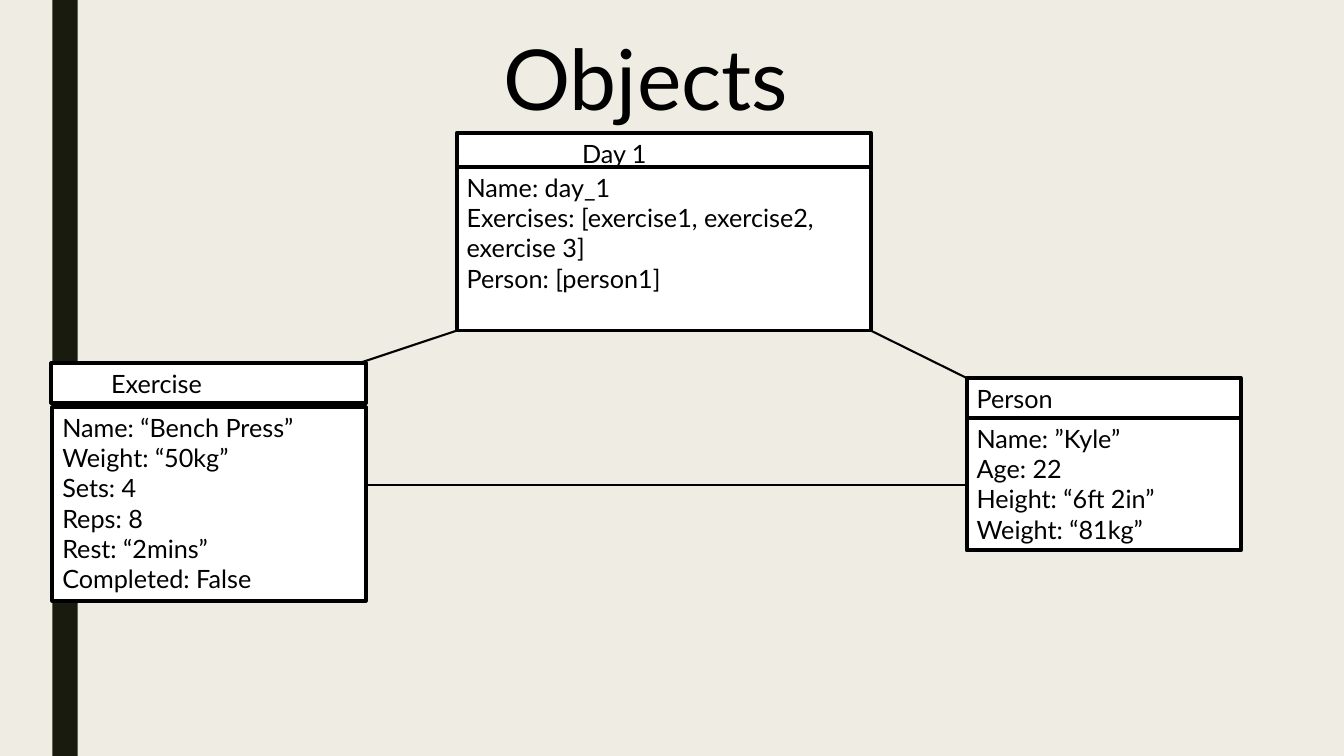
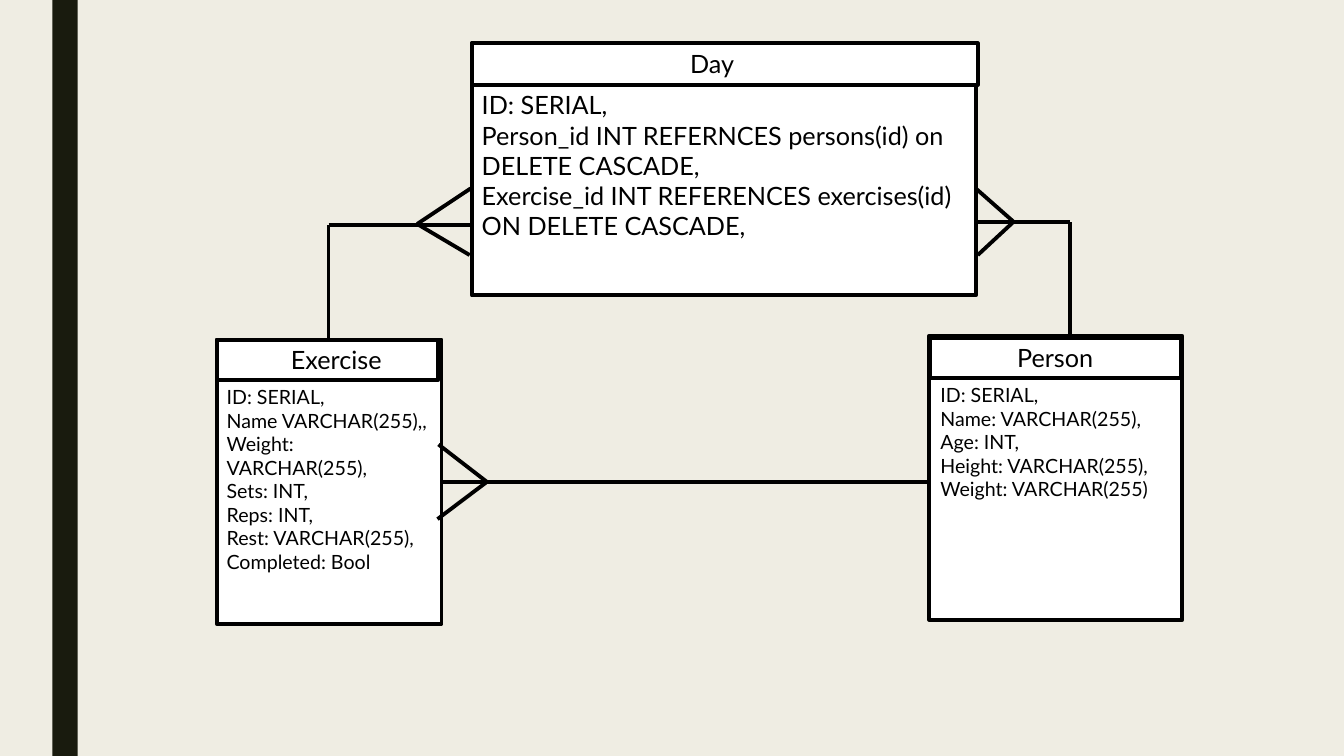
import itertools

import lxml.etree
import pptx
import pptx.dml.color
import pptx.enum.shapes
import pptx.enum.text
import pptx.oxml.ns
import pptx.util

Pt = pptx.util.Pt
COLOURS = {"ground": "EFEDE3", "band": "191B0E", "paper": "FFFFFF", "ink": "000000"}
FONT = "Lato"
THICK, THIN = 2.75, 1.5
HEADER = 28.8


def colour(name):
    """Return the named colour of the palette."""
    return pptx.dml.color.RGBColor.from_string(COLOURS[name])


def write(frame, text, size=18, inset=7.2):
    """Write each line of text as a left-aligned paragraph in a frame."""
    frame.word_wrap = True
    frame.auto_size = pptx.enum.text.MSO_AUTO_SIZE.NONE
    frame.vertical_anchor = pptx.enum.text.MSO_ANCHOR.TOP
    frame.margin_left, frame.margin_right = Pt(inset), Pt(7.2)
    frame.margin_top = frame.margin_bottom = Pt(3.6)
    for number, line in enumerate(text.split("\n")):
        para = frame.add_paragraph() if number else frame.paragraphs[0]
        para.alignment = pptx.enum.text.PP_ALIGN.LEFT
        span = para.add_run()
        span.text = line
        span.font.name, span.font.size = FONT, Pt(size)
        span.font.color.rgb = colour("ink")


class Diagram:
    """Holds the deck, its shared style and the page being drawn."""

    def __init__(self):
        """Start a wide deck."""
        self.deck = pptx.Presentation()
        self.deck.slide_width, self.deck.slide_height = Pt(960), Pt(540)
        self.page = None

    def add_page(self, layout):
        """Add a page with the numbered layout and make it current."""
        self.page = self.deck.slides.add_slide(self.deck.slide_layouts[layout])

    def style_master(self):
        """Give the master its background and its dark side band."""
        master = self.deck.slide_master
        master.background.fill.solid()
        master.background.fill.fore_color.rgb = colour("ground")
        band = self.box((37.4, 0, 18, 540), fill="band", line=None)
        band._element.nvSpPr.cNvPr.set("id", "20")
        master.shapes._spTree.insert(2, band._element)

    def title(self, text, area, **style):
        """Fill and place the title placeholder."""
        holder = self.page.shapes.title
        holder.left, holder.top, holder.width, holder.height = map(Pt, area)
        write(holder.text_frame, text, **style)

    def box(self, area, text="", fill="paper", line="ink", **style):
        """Draw a rectangle, with text if given."""
        box = self.page.shapes.add_shape(
            pptx.enum.shapes.MSO_SHAPE.RECTANGLE, *map(Pt, area))
        box.shadow.inherit = False
        box.fill.solid()
        box.fill.fore_color.rgb = colour(fill)
        if line:
            box.line.color.rgb = colour(line)
            box.line.width = Pt(THICK)
        else:
            box.line.fill.background()
        if text:
            write(box.text_frame, text, **style)
        return box

    def label(self, area, text, **style):
        """Place text without a frame."""
        write(self.page.shapes.add_textbox(*map(Pt, area)).text_frame, text, **style)

    def path_line(self, *points, width=THICK):
        """Join the points in turn with straight connectors."""
        for start, end in itertools.pairwise(points):
            line = self.page.shapes.add_connector(
                pptx.enum.shapes.MSO_CONNECTOR.STRAIGHT, *map(Pt, start + end))
            line.line.color.rgb = colour("ink")
            line.line.width = Pt(width)
            lxml.etree.SubElement(line._element.spPr, pptx.oxml.ns.qn("a:effectLst"))

    def crow_foot(self, upper, apex, lower):
        """Mark the 'many' end of a relation with two spread toes."""
        self.path_line(upper, apex, lower)

    def instance(self, header, body, name, fields, inset=7.2):
        """Draw an object: a header box and a box of field values."""
        self.box(header, name, inset=inset)
        self.box(body, fields)

    def entity(self, frame, header, name, inset, columns, size=14):
        """Draw a database entity: frame, header and column list."""
        self.box(frame)
        self.box(header, name, inset=inset)
        left, top, width, height = header
        below = top + height
        self.label((left, below, width, frame[1] + frame[3] - below), columns, size=size)


def objects_page(diagram):
    """Draw the three linked objects."""
    diagram.title("Objects", (62.6, 15.1, 627.8, 79.9), size=60, inset=297)
    diagram.instance(
        (36.7, 259.2, 224.6, HEADER), (37.4, 290.9, 223.9, 138.2), "Exercise",
        "Name: “Bench Press”\nWeight: “50kg”\nSets: 4\nReps: 8\n"
        "Rest: “2mins”\nCompleted: False", inset=42.6)
    diagram.instance(
        (690.5, 270, 195.8, HEADER), (690.5, 298.8, 195.8, 94.3), "Person",
        "Name: ”Kyle”\nAge: 22\nHeight: “6ft 2in”\nWeight: “81kg”")
    diagram.instance(
        (326.2, 95, 295.9, HEADER), (326.2, 119.5, 295.9, 116.6), "Day 1",
        "Name: day_1\nExercises: [exercise1, exercise2, exercise 3]\n"
        "Person: [person1]", inset=89.6)
    diagram.path_line((622.1, 236.2), (690.5, 270), width=THIN)
    diagram.path_line((257, 259.2), (326.2, 236.2), width=THIN)
    diagram.path_line((261.4, 346.3), (690.5, 346.3), width=THIN)


def schema_page(diagram):
    """Draw the three tables and their relations."""
    diagram.entity(
        (154.8, 242.6, 160.6, 203), (154.8, 242.6, 158.4, HEADER), "Exercise", 53,
        "ID: SERIAL,\nName VARCHAR(255),,\nWeight: VARCHAR(255),\nSets: INT,\n"
        "Reps: INT,\nRest: VARCHAR(255),\nCompleted: Bool")
    diagram.entity(
        (663.8, 239.8, 180.7, 203), (664.6, 241.2, 179.3, HEADER), "Person", 61.9,
        "ID: SERIAL,\nName: VARCHAR(255),\nAge: INT,\nHeight: VARCHAR(255),\n"
        "Weight: VARCHAR(255)")
    diagram.entity(
        (337, 31, 360, 180), (337, 31, 361.4, 29.5), "Day", 155.9,
        "ID: SERIAL,\nPerson_id INT REFERNCES persons(id) on DELETE CASCADE,\n"
        "Exercise_id INT REFERENCES exercises(id) ON DELETE CASCADE,", size=18)
    diagram.path_line((764.6, 239.8), (764.6, 158.4), (697, 158.4))
    diagram.crow_foot((697, 134.6), (724, 158.4), (698.4, 182.2))
    diagram.path_line((234.7, 241.2), (234.7, 160.6), (337, 160.6))
    diagram.crow_foot((336.2, 134.6), (298, 160), (335.5, 182.2))
    diagram.path_line((315.4, 344.2), (663.8, 344.2))
    diagram.crow_foot((313.2, 317.5), (347.8, 344.2), (312.5, 370.8))


def main():
    """Build and save the deck."""
    diagram = Diagram()
    diagram.add_page(5)
    diagram.style_master()
    objects_page(diagram)
    diagram.add_page(6)
    schema_page(diagram)
    diagram.deck.save("out.pptx")


main()
